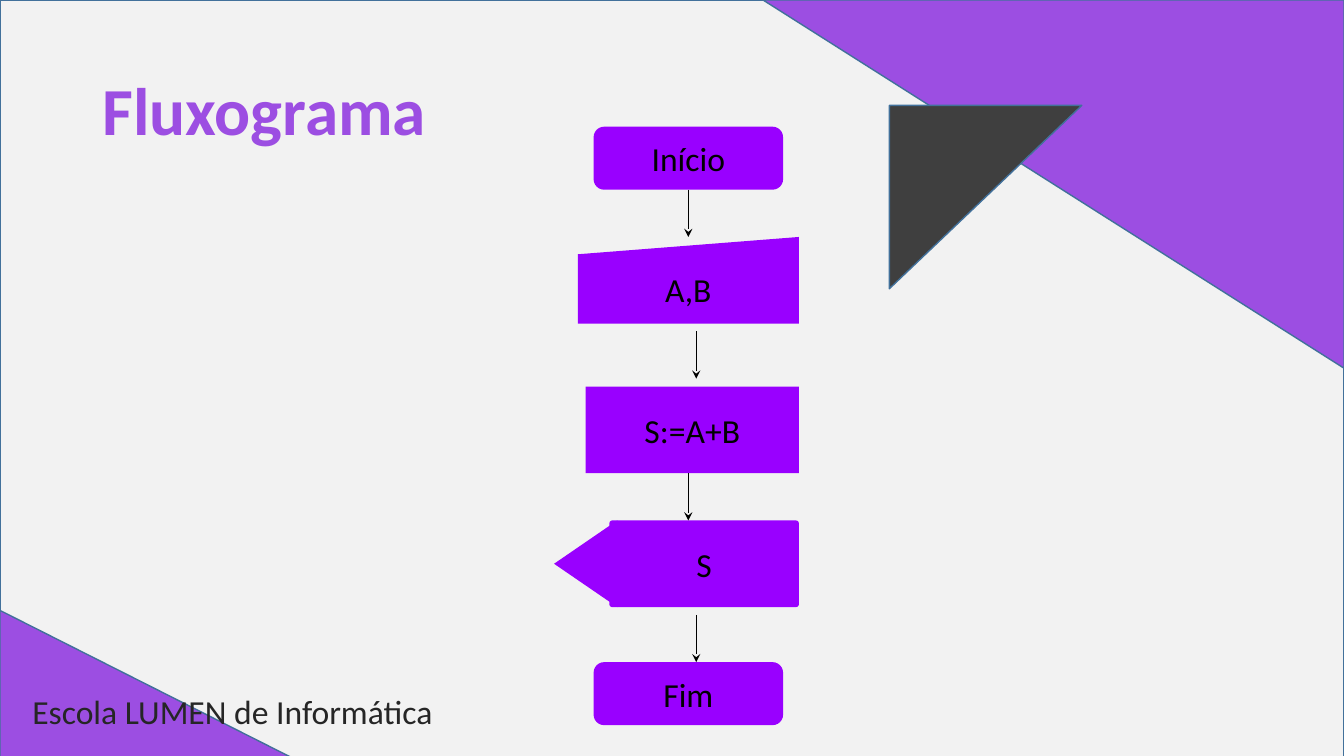
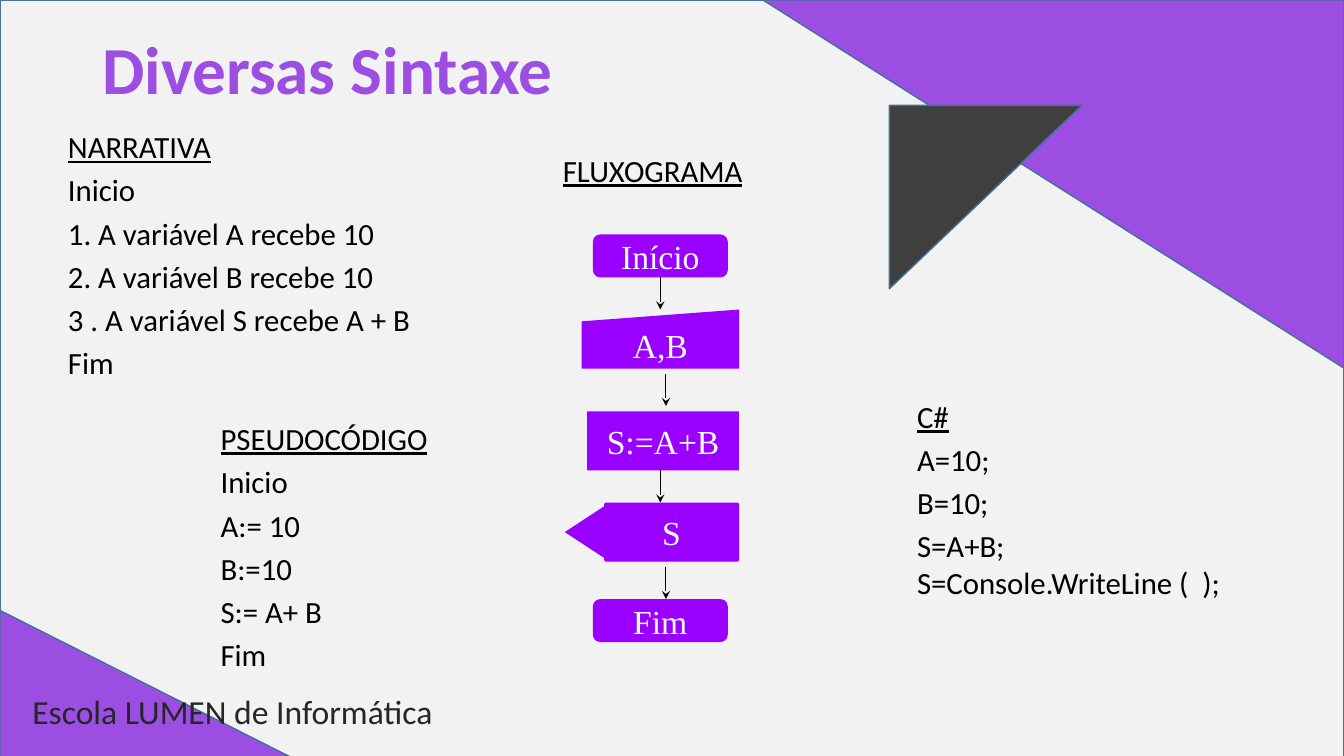
from pptx import Presentation
from pptx.dml.color import RGBColor
from pptx.enum.shapes import MSO_CONNECTOR, MSO_SHAPE
from pptx.enum.text import MSO_ANCHOR, PP_ALIGN
from pptx.oxml.ns import qn
from pptx.util import Pt
from lxml.etree import SubElement

PURPLE = "9C4EE2"
VIOLET = "9900FF"
PALE = "F2F2F2"
CHARCOAL = "3F3F3F"
OUTLINE = "42719B"
BLACK = "000000"
WHITE = "FFFFFF"
FOOTER_COLOR = "262626"
FONT = "Calibri"
FOOTER = "Escola LUMEN de Informática"


def color(hex_string):
    return RGBColor.from_string(hex_string)


class Deck:
    def __init__(self):
        self.presentation = Presentation()
        self.presentation.slide_width = Pt(960)
        self.presentation.slide_height = Pt(540)
        self.slide = None

    def add_slide(self, title, title_top):
        layout = self.presentation.slide_layouts[6]
        self.slide = self.presentation.slides.add_slide(layout)
        triangle = MSO_SHAPE.RIGHT_TRIANGLE
        self.shape(MSO_SHAPE.RECTANGLE, 0, 0, 960, 545, PALE, OUTLINE)
        self.shape(triangle, 0, 436, 216, 109, PURPLE, OUTLINE)
        self.shape(triangle, 545, 0, 415, 263, PURPLE, OUTLINE, 180)
        self.shape(triangle, 638.5, 72, 131, 137.5, CHARCOAL, OUTLINE, 90)
        self.text([FOOTER], 16, 490, 330, 36, 24, FOOTER_COLOR)
        frame = self.text([title], 66, title_top, 505, 104, 48, PURPLE, bold=True)
        frame.vertical_anchor = MSO_ANCHOR.MIDDLE
        frame.paragraphs[0].line_spacing = 0.9

    def shape(self, kind, left, top, width, height, fill, line=None, rotation=0):
        shape = self.slide.shapes.add_shape(
            kind, Pt(left), Pt(top), Pt(width), Pt(height))
        shape.shadow.inherit = False
        shape.fill.solid()
        shape.fill.fore_color.rgb = color(fill)
        if line:
            shape.line.color.rgb = color(line)
            shape.line.width = Pt(1)
        else:
            shape.line.fill.background()
        shape.rotation = rotation
        return shape

    def style_runs(self, paragraph, size, hex_string, font=FONT, bold=False):
        for run in paragraph.runs:
            run.font.name = font
            run.font.size = Pt(size)
            run.font.bold = bold
            run.font.color.rgb = color(hex_string)

    def text(self, lines, left, top, width, height, size, hex_string, bold=False):
        box = self.slide.shapes.add_textbox(
            Pt(left), Pt(top), Pt(width), Pt(height))
        frame = box.text_frame
        frame.word_wrap = True
        frame.text = "\n".join(lines)
        for paragraph in frame.paragraphs:
            self.style_runs(paragraph, size, hex_string, bold=bold)
        return frame

    def syntax(self, lines, left, top, width, height):
        frame = self.text(lines, left, top, width, height, 22, BLACK)
        frame.paragraphs[0].runs[0].font.underline = True
        for paragraph in frame.paragraphs[1:]:
            paragraph.space_before = Pt(4.4)
        return frame

    def node(self, kind, text, bounds, font, text_color, rounding=None):
        shape = self.shape(kind, *bounds, VIOLET)
        if rounding is not None:
            shape.adjustments[0] = rounding
        frame = shape.text_frame
        frame.text = text
        frame.vertical_anchor = MSO_ANCHOR.MIDDLE
        paragraph = frame.paragraphs[0]
        paragraph.alignment = PP_ALIGN.CENTER
        self.style_runs(paragraph, 24, text_color, font)
        return shape

    def arrow(self, x, top, bottom):
        connector = self.slide.shapes.add_connector(
            MSO_CONNECTOR.STRAIGHT, Pt(x), Pt(top), Pt(x), Pt(bottom))
        connector.line.color.rgb = color(BLACK)
        connector.line.width = Pt(0.75)
        SubElement(connector.line._get_or_add_ln(), qn("a:tailEnd"), type="stealth")
        SubElement(connector._element.spPr, qn("a:effectLst"))
        return connector

    def flowchart(self, left, top, unit_x, unit_y, font, text_color):
        rounded = MSO_SHAPE.ROUNDED_RECTANGLE
        nodes = [
            (rounded, "Início", 0, 0, 12, 4, 0.167),
            (rounded, "Fim", 0, 34, 12, 4, 0.167),
            (MSO_SHAPE.FLOWCHART_MANUAL_INPUT, "A,B", -1, 7, 14, 5.5, None),
            (MSO_SHAPE.RECTANGLE, "S:=A+B", -0.5, 16.5, 13.5, 5.5, None),
            (rounded, "S", 1, 25, 12, 5.5, 0.032),
        ]
        shapes = {}
        for kind, text, column, row, columns, rows, rounding in nodes:
            bounds = (left + column * unit_x, top + row * unit_y,
                      columns * unit_x, rows * unit_y)
            shapes[text] = self.node(kind, text, bounds, font, text_color, rounding)

        tip_width, tip_height = 5.5 * unit_y, 4 * unit_x
        self.shape(MSO_SHAPE.ISOSCELES_TRIANGLE,
                   left - 0.5 * unit_x - tip_width / 2,
                   top + 27.75 * unit_y - tip_height / 2,
                   tip_width, tip_height, VIOLET, rotation=270)

        arrows = [
            self.arrow(left + column * unit_x, top + row * unit_y,
                       top + (row + 3) * unit_y)
            for column, row in [(6, 4), (6.5, 13), (6, 22), (6.5, 31)]
        ]
        arrows[0].begin_connect(shapes["Início"], 2)


def main():
    deck = Deck()

    deck.add_slide("Fluxograma", 29)
    deck.flowchart(424, 90.5, 11.28, 11.25, FONT, BLACK)

    deck.add_slide("Diversas Sintaxe", 0)
    deck.syntax(["NARRATIVA", "Inicio", "1. A variável A recebe 10",
                 "2. A variável B recebe 10", "3 . A variável S recebe A + B",
                 "Fim"], 41.5, 88, 282, 236)
    deck.syntax(["PSEUDOCÓDIGO", "Inicio", "A:= 10", "B:=10", "S:= A+ B", "Fim"],
                150.5, 296.5, 244, 192)
    deck.flowchart(423.5, 167.5, 8.03, 7.66, "Times New Roman", WHITE)
    deck.syntax(["FLUXOGRAMA"], 395, 104.5, 193, 34)
    code = deck.syntax(["C#", "A=10;", "B=10;", "S=A+B;",
                        "S=Console.WriteLine (  );"], 648, 280.5, 244, 192)
    code.paragraphs[-1].space_before = Pt(0)

    deck.presentation.save("out.pptx")


if __name__ == "__main__":
    main()
